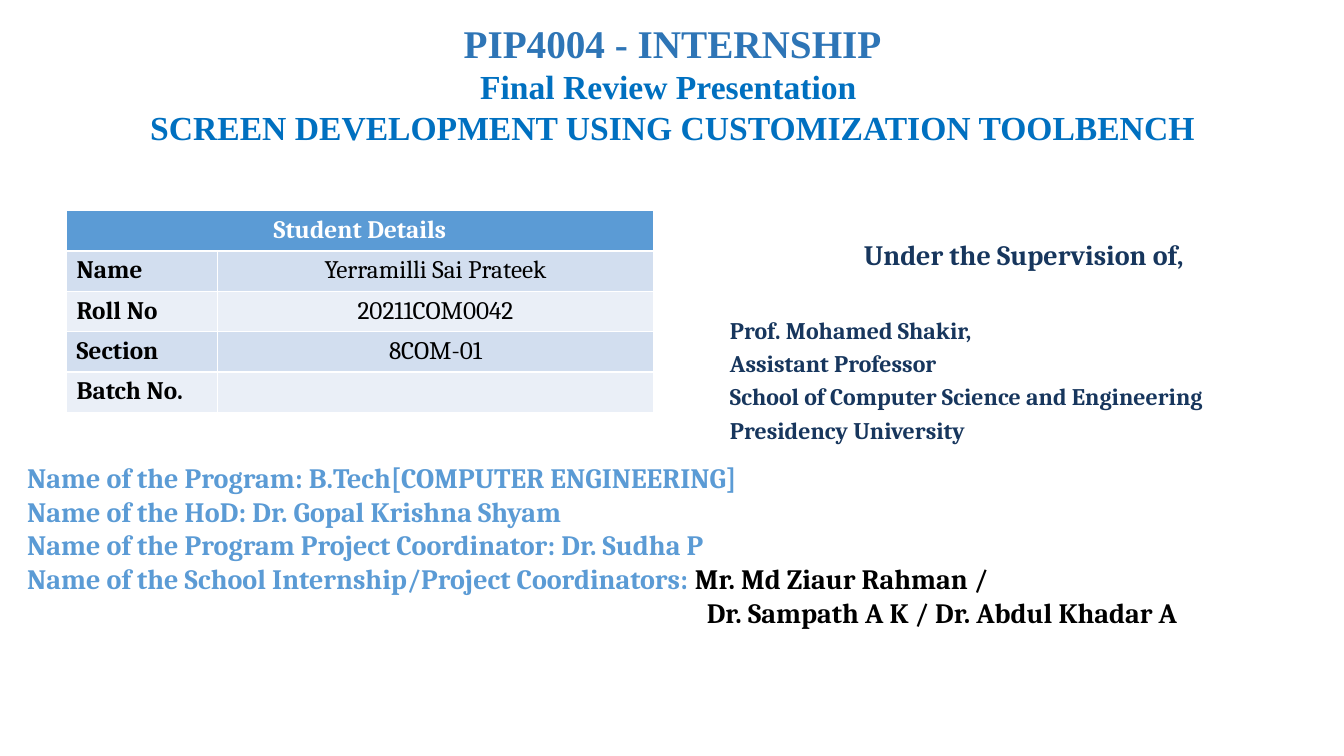
from lxml import etree
from pptx import Presentation
from pptx.dml.color import RGBColor
from pptx.enum.text import MSO_ANCHOR, MSO_AUTO_SIZE, PP_ALIGN
from pptx.oxml.ns import qn
from pptx.util import Inches, Pt

CENTER, LEFT = PP_ALIGN.CENTER, PP_ALIGN.LEFT
TOP, NO_FIT = MSO_ANCHOR.TOP, MSO_AUTO_SIZE.NONE
TITLE_AND_TWO_BODIES = 3
SERIF, TITLE_FONT = "Cambria", "Times New Roman"
COLORS = {
    "title": "2E75B6", "subtitle": "0070C0", "navy": "17365D",
    "accent": "5B9BD5", "black": "000000", "white": "FFFFFF",
    "band_dark": "D2DEEF", "band_light": "EAEFF7",
}

# Content
TITLE_LINES = [
    ("PIP4004 - INTERNSHIP", 28, "title"),
    ("Final Review Presentation ", 24, "subtitle"),
    ("SCREEN DEVELOPMENT USING CUSTOMIZATION TOOLBENCH", 24, "subtitle"),
]
TABLE_HEADING = "Student Details"
STUDENT = [
    ("Name", "Yerramilli Sai Prateek"),
    ("Roll No", "20211COM0042"),
    ("Section", "8COM-01"),
    ("Batch No.", ""),
]
SUPERVISION_HEADING = "Under the Supervision of,"
SUPERVISOR = [
    "Prof. Mohamed Shakir,",
    "Assistant Professor",
    "School of Computer Science and Engineering",
    "Presidency University",
]
PROGRAM = [
    "Name of the Program: B.Tech[COMPUTER ENGINEERING]",
    "Name of the HoD: Dr. Gopal Krishna Shyam",
    "Name of the Program Project Coordinator: Dr. Sudha P",
]
COORDINATORS_LABEL = "Name of the School Internship/Project Coordinators: "
COORDINATORS = ["Mr. Md Ziaur Rahman /", "Dr. Sampath A K / Dr. Abdul Khadar A"]

# Layout in inches: left, top, width, height
TITLE_BOX = (0.92, 0.14, 11.5, 1.71)
SUPERVISION_BOX = (7.14, 2.31, 6.03, 2.21)
PROGRAM_BOX = (0.17, 4.52, 13.0, 1.71)
TABLE_LEFT, TABLE_TOP = 0.66, 2.09
COLUMN_WIDTHS = (1.5, 4.32)
ROW_HEIGHT = 0.4
COORDINATOR_INDENT = 6.74


def color(name):
    return RGBColor.from_string(COLORS[name])


def add_span(para, text, size, color_name, bold=True, font=SERIF):
    span = para.add_run()
    span.text = text
    span.font.name = font
    span.font.size = Pt(size)
    span.font.bold = bold
    span.font.color.rgb = color(color_name)


def place(box, area):
    box.left, box.top, box.width, box.height = map(Inches, area)
    frame = box.text_frame
    frame.word_wrap = True
    frame.auto_size = NO_FIT
    frame.vertical_anchor = TOP
    return frame


def add_line(frame, align=LEFT, before=0, indent=0):
    """Return a plain paragraph without a bullet, reusing an empty first one."""
    first = frame.paragraphs[0]
    para = frame.add_paragraph() if first.runs else first
    para.alignment = align
    para.space_before = Pt(before)
    properties = para._p.get_or_add_pPr()
    properties.set("marL", str(Inches(indent)))
    properties.set("indent", "0")
    etree.SubElement(properties, qn("a:buNone"))
    return para


deck = Presentation()
deck.slide_width, deck.slide_height = Inches(13.33), Inches(7.5)
page = deck.slides.add_slide(deck.slide_layouts[TITLE_AND_TWO_BODIES])
title, supervision, program = list(page.placeholders)[:3]

# Title
title_para = place(title, TITLE_BOX).paragraphs[0]
title_para.alignment = CENTER
for index, (text, size, color_name) in enumerate(TITLE_LINES):
    if index:
        title_para.add_line_break()
    add_span(title_para, text, size, color_name, font=TITLE_FONT)

# Supervisor
frame = place(supervision, SUPERVISION_BOX)
add_span(add_line(frame, CENTER), SUPERVISION_HEADING, 20, "navy")
for index, text in enumerate(SUPERVISOR):
    para = add_line(frame, before=3.4 if index else 31.4)
    add_span(para, text, 17, "navy")

# Program and coordinators
frame = place(program, PROGRAM_BOX)
for text in PROGRAM:
    add_span(add_line(frame), text, 20, "accent")
para = add_line(frame)
add_span(para, COORDINATORS_LABEL, 20, "accent")
add_span(para, COORDINATORS[0], 20, "black")
para = add_line(frame, indent=COORDINATOR_INDENT)
add_span(para, COORDINATORS[1], 20, "black")

# Student table
row_count = len(STUDENT) + 1
table = page.shapes.add_table(
    row_count, len(COLUMN_WIDTHS), Inches(TABLE_LEFT), Inches(TABLE_TOP),
    Inches(sum(COLUMN_WIDTHS)), Inches(ROW_HEIGHT * row_count)).table
for column, width in zip(table.columns, COLUMN_WIDTHS):
    column.width = Inches(width)
for row in table.rows:
    row.height = Inches(ROW_HEIGHT)


def fill_cell(cell, text, fill, align, bold, color_name="black"):
    cell.fill.solid()
    cell.fill.fore_color.rgb = color(fill)
    para = cell.text_frame.paragraphs[0]
    para.alignment = align
    if text:
        add_span(para, text, 18, color_name, bold)


table.cell(0, 0).merge(table.cell(0, 1))
fill_cell(table.cell(0, 0), TABLE_HEADING, "accent", CENTER, True, "white")
for row, (label, value) in enumerate(STUDENT, start=1):
    band = "band_dark" if row % 2 else "band_light"
    fill_cell(table.cell(row, 0), label, band, LEFT, True)
    fill_cell(table.cell(row, 1), value, band, CENTER, False)

# Unused placeholders
for spare in list(page.placeholders):
    if spare.has_text_frame and not spare.text_frame.text:
        spare.element.getparent().remove(spare.element)

deck.save("out.pptx")
